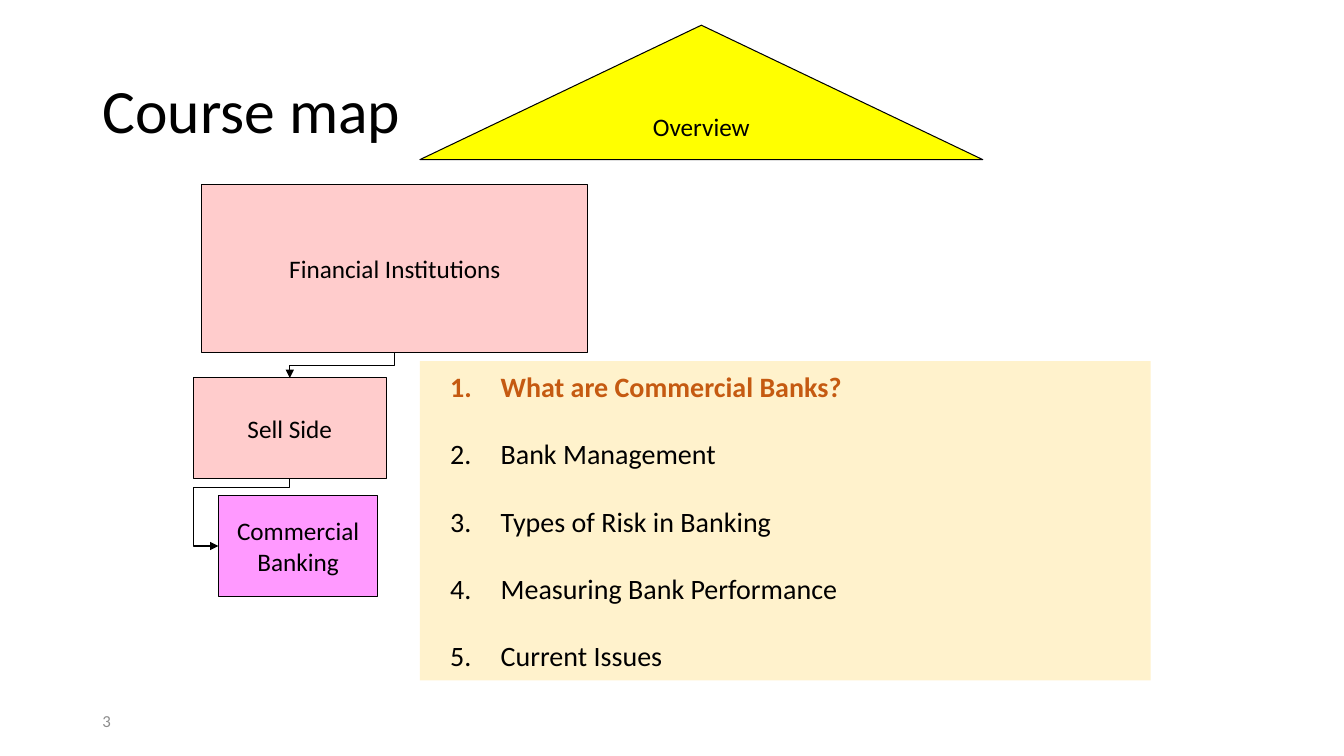
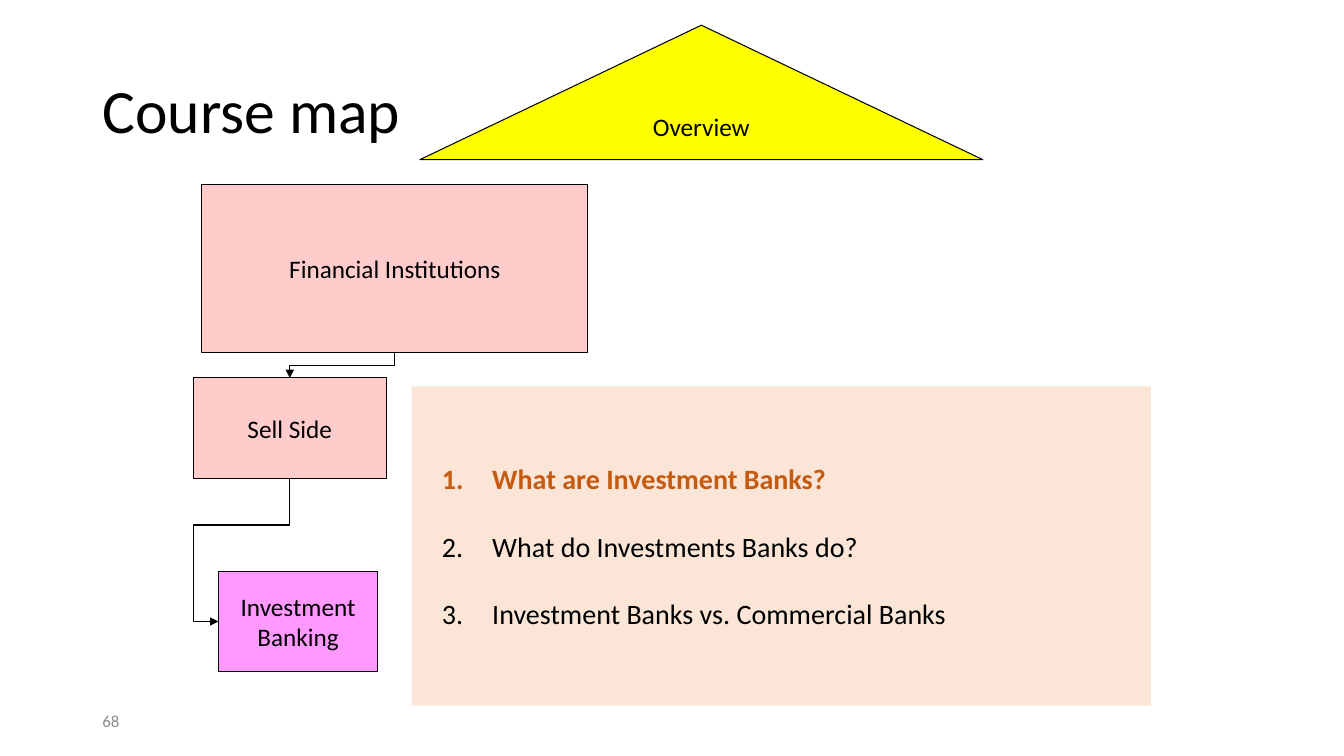
from lxml import etree
from pptx import Presentation
from pptx.dml.color import RGBColor
from pptx.enum.shapes import MSO_CONNECTOR, MSO_SHAPE
from pptx.enum.text import MSO_ANCHOR, MSO_AUTO_SIZE, PP_ALIGN
from pptx.oxml.ns import qn
from pptx.util import Pt

RECT, TRIANGLE = MSO_SHAPE.RECTANGLE, MSO_SHAPE.FLOWCHART_EXTRACT
ELBOW = MSO_CONNECTOR.ELBOW
LEFT, CENTER = PP_ALIGN.LEFT, PP_ALIGN.CENTER
MIDDLE = MSO_ANCHOR.MIDDLE
TOP_SIDE, LEFT_SIDE, BOTTOM_SIDE = 0, 1, 2

FONT = "Calibri"
COLORS = {
    "text": "000000", "number": "8C8C8C", "current": "C55A11",
    "overview": "FFFF00", "branch": "FFCCCC", "topic": "FF99FF",
    "cream": "FFF2CC", "peach": "FBE5D6",
}

TITLE = "Course map"
TITLE_BOX = (66, 28.75, 828, 104.5)
NUMBER_BOX = (66, 500.5, 216, 28.75)
# name: shape, box, fill, wraps
MAP = {
    "Overview": (TRIANGLE, (300, 18, 402, 96), "overview", False),
    "Financial Institutions": (RECT, (144, 132, 276, 120), "branch", False),
    "Sell Side": (RECT, (138, 270, 138, 72), "branch", False),
}
SLIDES = [
    {
        "number": "3", "topic": "Commercial Banking", "topic_top": 354,
        "panel": (300, 258, 522, 228), "fill": "cream",
        "agenda": ["What are Commercial Banks?", "Bank Management",
                   "Types of Risk in Banking", "Measuring Bank Performance",
                   "Current Issues"],
    },
    {
        "number": "68", "topic": "Investment Banking", "topic_top": 408,
        "panel": (294, 276, 528, 228), "fill": "peach",
        "agenda": ["What are Investment Banks?", "What do Investments Banks do?",
                   "Investment Banks vs. Commercial Banks"],
    },
]


def rgb(name):
    return RGBColor.from_string(COLORS[name])


def place(sp, box):
    for name, value in zip(("left", "top", "width", "height"), box):
        setattr(sp, name, Pt(value))


def set_frame(sp, wrap=True):
    tf = sp.text_frame
    frame = {"word_wrap": wrap, "vertical_anchor": MIDDLE,
             "auto_size": MSO_AUTO_SIZE.NONE}
    for name, value in frame.items():
        setattr(tf, name, value)
    return tf


def write(p, text, size, color="text", bold=False, align=LEFT, spacing=1.0):
    for name, value in {"alignment": align, "line_spacing": spacing,
                        "space_before": Pt(0)}.items():
        setattr(p, name, value)
    r = p.add_run()
    r.text = text
    for name, value in {"name": FONT, "size": Pt(size), "bold": bold}.items():
        setattr(r.font, name, value)
    r.font.color.rgb = rgb(color)


def add_box(slide, text, kind, box, fill, wrap):
    sp = slide.shapes.add_shape(kind, *map(Pt, box))
    sp.shadow.inherit = False
    sp.fill.solid()
    sp.fill.fore_color.rgb = rgb(fill)
    sp.line.color.rgb = rgb("text")
    sp.line.width = Pt(0.75)
    write(set_frame(sp, wrap).paragraphs[0], text, 18, align=CENTER)
    return sp


def add_elbow(slide, upper, lower, side):
    """Route down from upper to the given side of lower, bending midway in the gap."""
    x1, y1 = upper.left + upper.width // 2, upper.top + upper.height
    x2, y2 = lower.left, lower.top
    if side == TOP_SIDE:
        x2 += lower.width // 2
    else:
        y2 += lower.height // 2
    drop, shift = y2 - y1, x1 - x2
    bends = [(lower.top - y1) / 2 / drop]
    if side == LEFT_SIDE:
        bends.append((x1 - upper.left) / shift)

    line = slide.shapes.add_connector(ELBOW, x1, y1, x2, y2)
    line.begin_connect(upper, BOTTOM_SIDE)
    line.end_connect(lower, side)
    line.line.color.rgb = rgb("text")
    line.line.width = Pt(0.75)

    # A quarter turn makes the route leave the upper box vertically
    xfrm = line._element.spPr.find(qn("a:xfrm"))
    xfrm.attrib.clear()
    xfrm.set("rot", str(90 * 60000))
    line.width, line.height = drop, shift
    line.left, line.top = (x1 + x2 - drop) // 2, (y1 + y2 - shift) // 2

    geom = line._element.spPr.find(qn("a:prstGeom"))
    geom.set("prst", f"bentConnector{len(bends) + 2}")
    guides = geom.find(qn("a:avLst"))
    for i, bend in enumerate(bends, 1):
        etree.SubElement(guides, qn("a:gd"), name=f"adj{i}",
                         fmla=f"val {round(bend * 100000)}")
    etree.SubElement(line.line._get_or_add_ln(), qn("a:tailEnd"), type="triangle")
    etree.SubElement(line._element.spPr, qn("a:effectLst"))


def fill_agenda(sp, box, fill, items):
    place(sp, box)
    sp.fill.solid()
    sp.fill.fore_color.rgb = rgb(fill)
    tf = set_frame(sp)
    for i, item in enumerate(items):
        p = tf.add_paragraph() if i else tf.paragraphs[0]
        pPr = p._p.get_or_add_pPr()
        pPr.set("marL", str(Pt(50.4)))
        pPr.set("indent", str(Pt(-36)))
        etree.SubElement(pPr, qn("a:buFont"), typeface=FONT)
        etree.SubElement(pPr, qn("a:buAutoNum"), type="arabicPeriod")
        if i:
            write(p, item, 20, spacing=2.0)
        else:
            write(p, item, 20, color="current", bold=True)


def add_course_map(prs, data):
    slide = prs.slides.add_slide(prs.slide_layouts[1])
    title, body = slide.placeholders
    place(title, TITLE_BOX)
    write(set_frame(title).paragraphs[0], TITLE, 44, spacing=0.9)
    fill_agenda(body, data["panel"], data["fill"], data["agenda"])

    number = slide.shapes.add_textbox(*map(Pt, NUMBER_BOX))
    write(set_frame(number).paragraphs[0], data["number"], 12, color="number")

    boxes = {name: add_box(slide, name, *look) for name, look in MAP.items()}
    topic = add_box(slide, data["topic"], RECT,
                    (156, data["topic_top"], 114, 72), "topic", True)
    sell_side = boxes["Sell Side"]
    add_elbow(slide, boxes["Financial Institutions"], sell_side, TOP_SIDE)
    add_elbow(slide, sell_side, topic, LEFT_SIDE)


def main():
    prs = Presentation()
    prs.slide_width, prs.slide_height = Pt(960), Pt(540)
    for data in SLIDES:
        add_course_map(prs, data)
    prs.save("out.pptx")


if __name__ == "__main__":
    main()
